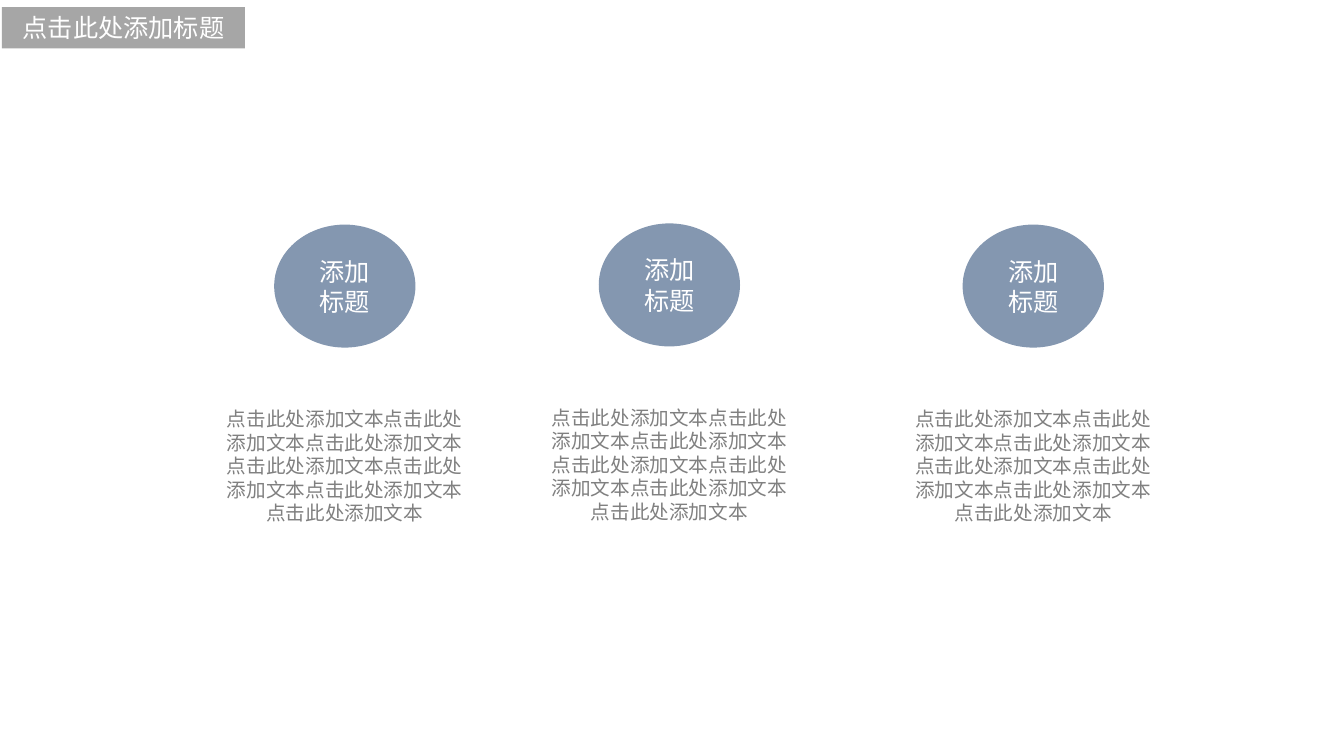
from dataclasses import dataclass

from lxml.etree import SubElement as Sub
from pptx import Presentation
from pptx.dml.color import RGBColor as Rgb
from pptx.enum.shapes import MSO_SHAPE as Kind
from pptx.enum.text import MSO_ANCHOR as Anchor, MSO_AUTO_SIZE as Fit, PP_ALIGN as Align
from pptx.oxml.ns import qn
from pptx.slide import Slide
from pptx.text.text import TextFrame as Frame
from pptx.util import Cm, Pt


@dataclass(frozen=True)
class Theme:
    font: str = "Noto Sans CJK SC"
    pill: Rgb = Rgb(0xA6, 0xA6, 0xA6)
    disc: Rgb = Rgb(0x84, 0x97, 0xB0)
    light: Rgb = Rgb(0xFF, 0xFF, 0xFF)
    grey: Rgb = Rgb(0x80, 0x80, 0x80)
    head: int = 18
    body: int = 14


@dataclass(frozen=True)
class Column:
    mid: float  # centre of the column, cm
    top: float  # top of the disc, cm
    label: tuple[str, ...] = ("添加", "标题")
    text: str = "点击此处添加文本" * 7


THEME = Theme()
COLUMNS = (Column(8.69, 5.66), Column(16.87, 5.63), Column(26.04, 5.66))
DISC_W, DISC_H = 3.56, 3.1
TEXT_W, TEXT_H = 6.45, 3.25
DROP = 4.47  # from disc top to text top


def write(frame: Frame, lines: tuple[str, ...], size: int, color: Rgb) -> None:
    frame.word_wrap = True
    frame.auto_size = Fit.NONE
    for i, line in enumerate(lines):
        para = frame.add_paragraph() if i else frame.paragraphs[0]
        para.alignment = Align.CENTER
        para.line_spacing = 1.0
        run = para.add_run()
        run.text = line
        font = run.font
        font.size = Pt(size)
        font.color.rgb = color
        font.name = THEME.font
        Sub(font._element, qn("a:ea"), typeface=THEME.font)


def trim(frame: Frame) -> None:
    frame.margin_left = frame.margin_right = 0
    frame.margin_top = frame.margin_bottom = 0
    frame.vertical_anchor = Anchor.MIDDLE


def add_title(slide: Slide, text: str) -> None:
    title = slide.shapes.title
    title.left, title.top = Cm(0.05), Cm(0.18)
    title.width, title.height = Cm(6.12), Cm(1.04)
    # Fully rounded ends
    geom = Sub(title._element.spPr, qn("a:prstGeom"), prst="roundRect")
    guides = Sub(geom, qn("a:avLst"))
    Sub(guides, qn("a:gd"), name="adj", fmla="val 50000")
    title.fill.solid()
    title.fill.fore_color.rgb = THEME.pill
    trim(title.text_frame)
    write(title.text_frame, (text,), THEME.head, THEME.light)


def add_column(slide: Slide, col: Column) -> None:
    # Disc with its label
    disc = slide.shapes.add_shape(
        Kind.OVAL, Cm(col.mid - DISC_W / 2), Cm(col.top), Cm(DISC_W), Cm(DISC_H))
    disc.shadow.inherit = False
    disc.fill.solid()
    disc.fill.fore_color.rgb = THEME.disc
    disc.line.fill.background()
    trim(disc.text_frame)
    write(disc.text_frame, col.label, THEME.head, THEME.light)
    # Text below
    box = slide.shapes.add_textbox(
        Cm(col.mid - TEXT_W / 2), Cm(col.top + DROP), Cm(TEXT_W), Cm(TEXT_H))
    write(box.text_frame, (col.text,), THEME.body, THEME.grey)


def main() -> None:
    deck = Presentation()
    deck.slide_width, deck.slide_height = Cm(33.87), Cm(19.05)
    slide = deck.slides.add_slide(deck.slide_layouts[5])
    add_title(slide, "点击此处添加标题")
    for col in COLUMNS:
        add_column(slide, col)
    deck.save("out.pptx")


if __name__ == "__main__":
    main()
